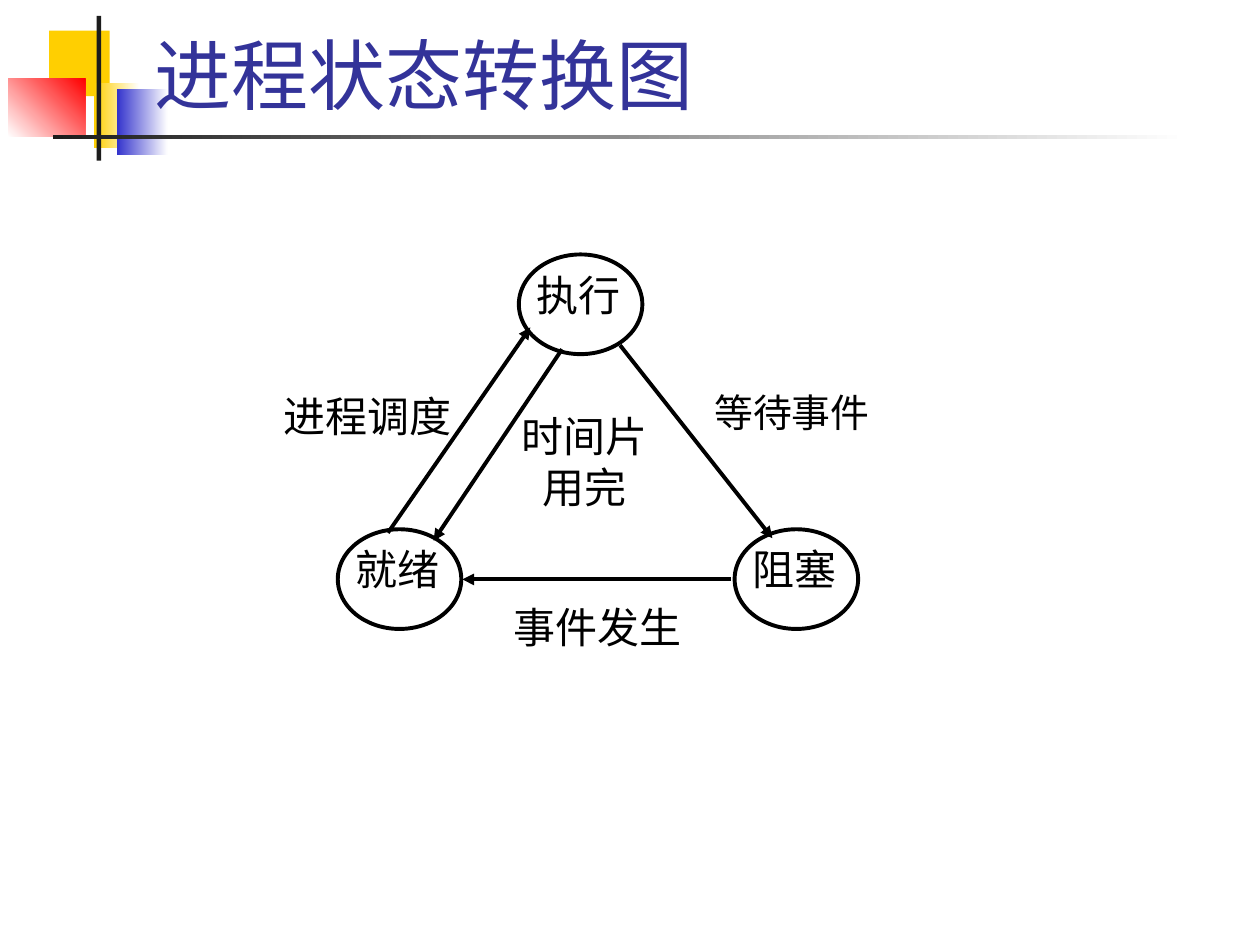
from dataclasses import dataclass
from typing import Optional

from lxml import etree
from pptx import Presentation
from pptx.dml.color import RGBColor
from pptx.enum import shapes, text
from pptx.oxml import ns
from pptx.util import Cm, Pt

BLACK = RGBColor(0x00, 0x00, 0x00)
WHITE = RGBColor(0xFF, 0xFF, 0xFF)
CHARCOAL = RGBColor(0x1C, 0x1C, 0x1C)
YELLOW = RGBColor(0xFF, 0xCF, 0x01)
BLUE = RGBColor(0x33, 0x33, 0xCC)
RED = RGBColor(0xFF, 0x00, 0x00)
NAVY = RGBColor(0x33, 0x33, 0x99)

STATE_W, STATE_H = 2.49, 2.01
LINE_WIDTH = Pt(2.25)
BODY_FONT = "Times New Roman"


@dataclass
class Block:
    x: float
    y: float
    w: float
    h: float
    color: RGBColor
    end: Optional[RGBColor] = None
    angle: float = 0


@dataclass
class State:
    name: str
    x: float
    y: float


@dataclass
class Arrow:
    x1: float
    y1: float
    x2: float
    y2: float


@dataclass
class Label:
    words: str
    x: float
    y: float
    w: float
    h: float
    size: float = 24
    align: text.PP_ALIGN = text.PP_ALIGN.JUSTIFY
    spacing: float = 1.0


BLOCKS = [
    Block(0.99, 0.62, 1.22, 1.32, YELLOW),
    Block(1.9, 1.67, 0.91, 1.32, YELLOW, WHITE),
    Block(2.36, 1.8, 1.02, 1.32, BLUE, WHITE),
    Block(0.17, 1.59, 1.55, 1.17, WHITE, RED, 45),
    Block(1.95, 0.32, 0.09, 2.92, CHARCOAL),
    Block(1.06, 2.72, 22.86, 0.08, CHARCOAL, WHITE),
]

STATES = [
    State("执行", 10.46, 5.13),
    State("就绪", 6.81, 10.67),
    State("阻塞", 14.81, 10.67),
]

ARROWS = [
    Arrow(11.33, 7.04, 8.74, 10.9),
    Arrow(7.82, 10.74, 10.69, 6.6),
    Arrow(12.5, 6.96, 15.57, 10.85),
    Arrow(14.73, 11.68, 9.32, 11.68),
]

LABELS = [
    Label("进程调度", 5.72, 7.87, 3.61, 1.22),
    Label("时间片用完", 10.44, 8.28, 2.69, 2.16, align=text.PP_ALIGN.CENTER),
    Label("等待事件", 14.4, 7.95, 3.78, 0.99, size=22.2, spacing=0.9),
    Label("事件发生", 10.36, 12.12, 3.84, 1.27),
]


def write(tf, words: str, size: float, align: text.PP_ALIGN, spacing: float = 1.0,
          font: str = BODY_FONT, color: RGBColor = BLACK) -> None:
    p = tf.paragraphs[0]
    p.alignment = align
    p.line_spacing = spacing
    r = p.add_run()
    r.text = words
    for name, value in {"name": font, "size": Pt(size)}.items():
        setattr(r.font, name, value)
    r.font.color.rgb = color


def format_frame(tf) -> None:
    frame = {"margin_left": 0, "margin_top": 0, "margin_right": 0, "margin_bottom": 0,
             "word_wrap": True, "vertical_anchor": text.MSO_ANCHOR.TOP}
    for name, value in frame.items():
        setattr(tf, name, value)


def draw_block(s, block: Block) -> None:
    sp = s.shapes.add_shape(shapes.MSO_SHAPE.RECTANGLE, Cm(block.x), Cm(block.y),
                            Cm(block.w), Cm(block.h))
    sp.shadow.inherit = False
    sp.line.fill.background()
    if block.end is None:
        sp.fill.solid()
        sp.fill.fore_color.rgb = block.color
        return
    sp.fill.gradient()
    sp.fill.gradient_angle = block.angle
    for stop, color, position in zip(sp.fill.gradient_stops, (block.color, block.end), (0, 1)):
        stop.color.rgb = color
        stop.position = position


def draw_title(s, words: str) -> None:
    sp = s.shapes.title
    s.shapes._spTree.append(sp._element)
    box = {"left": Cm(2.87), "top": Cm(0.36), "width": Cm(21.64), "height": Cm(2.18)}
    for name, value in box.items():
        setattr(sp, name, value)
    tf = sp.text_frame
    tf.auto_size = text.MSO_AUTO_SIZE.NONE
    tf.vertical_anchor = text.MSO_ANCHOR.BOTTOM
    write(tf, words, 44, text.PP_ALIGN.LEFT, font="Roboto", color=NAVY)


def draw_state(s, state: State) -> None:
    sp = s.shapes.add_shape(shapes.MSO_SHAPE.OVAL, Cm(state.x), Cm(state.y),
                            Cm(STATE_W), Cm(STATE_H))
    sp.shadow.inherit = False
    sp.fill.solid()
    sp.fill.fore_color.rgb = WHITE
    sp.line.color.rgb = BLACK
    sp.line.width = LINE_WIDTH
    format_frame(sp.text_frame)
    write(sp.text_frame, state.name, 24, text.PP_ALIGN.JUSTIFY)


def draw_arrow(s, arrow: Arrow) -> None:
    line = s.shapes.add_connector(shapes.MSO_CONNECTOR.STRAIGHT, Cm(arrow.x1), Cm(arrow.y1),
                                  Cm(arrow.x2), Cm(arrow.y2))
    line.line.color.rgb = BLACK
    line.line.width = LINE_WIDTH
    etree.SubElement(line.line._get_or_add_ln(), ns.qn("a:tailEnd"), type="triangle")
    etree.SubElement(line._element.spPr, ns.qn("a:effectLst"))


def draw_label(s, label: Label) -> None:
    sp = s.shapes.add_textbox(Cm(label.x), Cm(label.y), Cm(label.w), Cm(label.h))
    format_frame(sp.text_frame)
    write(sp.text_frame, label.words, label.size, label.align, label.spacing)


def main() -> None:
    prs = Presentation()
    prs.slide_width, prs.slide_height = Cm(25.4), Cm(19.05)
    s = prs.slides.add_slide(prs.slide_layouts[5])
    for block in BLOCKS:
        draw_block(s, block)
    draw_title(s, "进程状态转换图")
    for state in STATES:
        draw_state(s, state)
    for arrow in ARROWS:
        draw_arrow(s, arrow)
    for label in LABELS:
        draw_label(s, label)
    prs.save("out.pptx")


if __name__ == "__main__":
    main()
